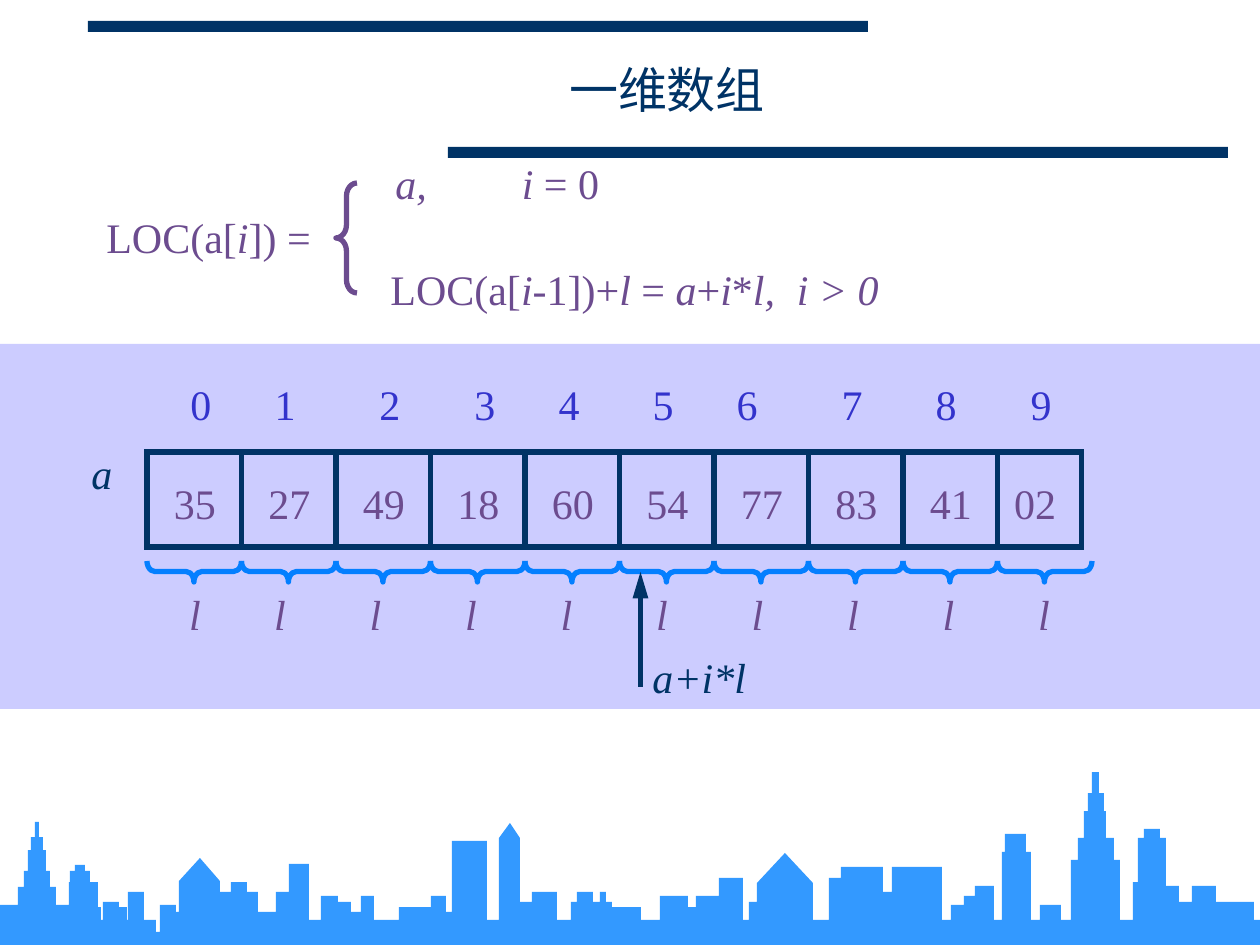
from lxml import etree
from pptx import Presentation
from pptx import util as u
from pptx.dml.color import RGBColor
from pptx.enum import shapes, text
from pptx.oxml.ns import qn

PX = 914400 / 126
WIDTH, HEIGHT = 1260, 945
THEME = {
    "font": "Times New Roman", "title": 28, "body": 24, "line": 3,
    "navy": "003366", "band": "CCCCFF", "purple": "6C4C8F",
    "index": "3333CC", "brace": "047FFF", "city": "3399FF",
}

TITLE = "一维数组"
TITLE_BOX = (502, 53, 330, 71)
BARS = [(88, 21, 780, 11), (448, 147, 780, 11)]
BAND = (0, 344, WIDTH, 365)

VALUES = ["35", "27", "49", "18", "60", "54", "77", "83", "41", "02"]
COUNT = len(VALUES)
LEFT, TOP, ARRAY_WIDTH, ARRAY_HEIGHT, PITCH = 147, 452, 935, 95, 94.5
BRACE_TOP, BRACE_DEPTH = 561, 21

TEXT_HEIGHT, INSET = 64, 12.6
# Rows over the array: left, top, width, colour, words, word centres.
# Words between underscores are italic.
ROWS = [
    (161, 471, 920, "purple", VALUES,
     [195 + PITCH * i for i in range(COUNT - 1)] + [1035]),
    (136, 372, 945, "index", [str(i) for i in range(COUNT)],
     [201, 285, 390, 485, 569, 663, 747, 852, 946, 1041]),
    (166, 582, 916, "purple", ["_l_"] * COUNT,
     [195] + [280 + 95.5 * i for i in range(COUNT - 1)]),
]
# Labels: left, top, width, colour, marked text, left tab stops
LABELS = [
    (94, 205, 240, "purple", "LOC(a[_i_]) =", []),
    (378, 257, 724, "purple",
     "LOC(a[_i_-1])+_l_ = _a_+_i_*_l,\ti > 0_", [797]),
    (383, 151, 284, "purple", "_a,\ti_ = 0", [522]),
    (640, 645, 120, "navy", "_a+i*l_", []),
    (79, 441, 47, "navy", "_a_", []),
]
FORMULA_BRACE = (336, 183, 21, 110)
ARROW = (640.5, 687, 640.5, 572)

# City: flat roofs by height, with the left and right wall of each block
GROUND = 932
FLAT_ROOFS = {
    920: [(0, 156), (160, WIDTH)],
    912: [(176, 179), (258, 276), (351, 361), (446, 452)],
    907: [(98, 101), (119, 127), (399, 431), (612, 641), (688, 696)],
    905: [(0, 69), (160, 176), (951, 964), (1040, 1061)],
    902: [(103, 119), (338, 351), (520, 532), (571, 612), (749, 757),
          (1179, 1192), (1216, 1254)],
    896: [(321, 338), (361, 374), (431, 446), (660, 688), (696, 719), (964, 994)],
    892: [(128, 144), (220, 258), (276, 289), (532, 557), (577, 593),
          (600, 606), (883, 892)],
    886: [(975, 994), (1166, 1179), (1192, 1216)],
    882: [(69, 98), (231, 247), (1133, 1166)],
    878: [(719, 743), (829, 841)],
    867: [(841, 883), (892, 942)],
    864: [(289, 309)],
    852: [(1002, 1031)],
    841: [(452, 487)],
    834: [(1005, 1026)],
}
# Gabled houses: left and right wall, eaves, ridge
GABLES = [(179, 220, 881, 858), (499, 520, 838, 823), (757, 813, 883, 853)]
# Towers: centre and tiers of (half width, top)
TOWERS = {
    37: [(2, 822), (6, 837), (9, 850), (13, 871), (18.5, 887)],
    80: [(5, 865), (10.5, 871)],
    1095.5: [(3.5, 772), (8, 793), (11, 811), (18, 838), (24.5, 860)],
    1152: [(7.5, 829), (14, 838)],
}


def emu(*pixels):
    """Turn pixel lengths into EMU."""
    return [u.Emu(round(n * PX)) for n in pixels]


def color(name):
    """Return a theme colour."""
    return RGBColor.from_string(THEME[name])


def paint(sp, fill=None, line=None):
    """Set fill and line of a shape, without shadow."""
    sp.shadow.inherit = False
    if fill:
        sp.fill.solid()
        sp.fill.fore_color.rgb = color(fill)
    else:
        sp.fill.background()
    if line:
        sp.line.color.rgb = color(line)
        sp.line.width = u.Pt(THEME["line"])
    else:
        sp.line.fill.background()
    return sp


def add_rect(s, box, fill, line=None):
    """Add a rectangle, with sharp corners if it has a line."""
    sp = s.shapes.add_shape(shapes.MSO_SHAPE.RECTANGLE, *emu(*box))
    paint(sp, fill, line)
    if line:
        etree.SubElement(sp.line._get_or_add_ln(), qn("a:miter"), lim="800000")


def add_brace(s, box, line, adjust, rotation=0):
    """Add a left brace, turned if asked."""
    sp = s.shapes.add_shape(shapes.MSO_SHAPE.LEFT_BRACE, *emu(*box))
    paint(sp, line=line)
    sp.adjustments[0], sp.adjustments[1] = adjust
    sp.rotation = rotation


def add_line(s, ends, arrow=False):
    """Add a straight navy line, with an arrowhead if asked."""
    sp = s.shapes.add_connector(shapes.MSO_CONNECTOR.STRAIGHT, *emu(*ends))
    sp.line.color.rgb = color("navy")
    sp.line.width = u.Pt(THEME["line"])
    if arrow:
        etree.SubElement(sp.line._get_or_add_ln(), qn("a:tailEnd"),
                         type="triangle", w="med", len="lg")
    etree.SubElement(sp._element.spPr, qn("a:effectLst"))


def add_run(p, words, size, ink, italic=False):
    """Add a formatted run to a paragraph."""
    r = p.add_run()
    r.text = words
    values = {"name": THEME["font"], "size": u.Pt(THEME[size]), "italic": italic}
    for key, value in values.items():
        setattr(r.font, key, value)
    r.font.color.rgb = color(ink)


def add_text(s, left, top, width, ink, marked, stops, align="l", inset=INSET):
    """Add marked text whose tab stops are given as slide positions."""
    box = s.shapes.add_textbox(*emu(left, top, width, TEXT_HEIGHT))
    tf = box.text_frame
    tf.word_wrap = True
    tf.margin_left, = emu(inset)
    p = tf.paragraphs[0]
    if stops:
        tabs = etree.SubElement(p._p.get_or_add_pPr(), qn("a:tabLst"))
        for pos in emu(*(x - left - inset for x in stops)):
            etree.SubElement(tabs, qn("a:tab"), pos=str(pos), algn=align)
    for i, words in enumerate(marked.split("_")):
        if words:
            add_run(p, words, "body", ink, italic=i % 2 == 1)


def add_title(s):
    """Place and format the title."""
    sp = s.shapes.title
    sp.left, sp.top, sp.width, sp.height = emu(*TITLE_BOX)
    tf = sp.text_frame
    tf.vertical_anchor = text.MSO_ANCHOR.MIDDLE
    p = tf.paragraphs[0]
    p.alignment = text.PP_ALIGN.CENTER
    add_run(p, TITLE, "title", "navy")


def add_array(s):
    """Draw the array: frame, dividers, braces and rows of words."""
    add_rect(s, (LEFT, TOP, ARRAY_WIDTH, ARRAY_HEIGHT), "band", "navy")
    for i in range(COUNT):
        x = LEFT + PITCH * i
        if i:
            add_line(s, (x, TOP, x, TOP + ARRAY_HEIGHT))
        # The box is upright before its quarter turn about the centre
        box = (x + (PITCH - BRACE_DEPTH) / 2, BRACE_TOP - (PITCH - BRACE_DEPTH) / 2,
               BRACE_DEPTH, PITCH)
        add_brace(s, box, "brace", (0.375, 0.497), 270)
    for left, top, width, ink, words, centres in ROWS:
        marked = "".join("\t" + word for word in words)
        add_text(s, left, top, width, ink, marked, centres, "ctr", 0)


def city_blocks():
    """List every building as left wall, right wall and roof height."""
    flats = [(a, b, top) for top, spans in FLAT_ROOFS.items() for a, b in spans]
    houses = [(a, b, eaves) for a, b, eaves, ridge in GABLES]
    tiers = [(mid - half, mid + half, top)
             for mid, steps in TOWERS.items() for half, top in steps]
    return flats + houses + tiers


def add_skyline(s):
    """Trace the highest roof between each pair of walls, as one outline."""
    blocks = city_blocks()
    walls = sorted({x for a, b, top in blocks for x in (a, b) if 0 <= x <= WIDTH})
    ridges = {a: ((a + b) / 2, ridge) for a, b, eaves, ridge in GABLES}
    points = [(0, HEIGHT)]
    for a, b in zip(walls, walls[1:]):
        roof = min([top for l, r, top in blocks if l <= a and b <= r], default=GROUND)
        points.append((a, roof))
        if a in ridges:
            points.append(ridges[a])
        points.append((b, roof))
    points.append((WIDTH, HEIGHT))
    outline = s.shapes.build_freeform(*points[0], scale=PX)
    outline.add_line_segments(points[1:], close=True)
    paint(outline.convert_to_shape(), "city")


prs = Presentation()
prs.slide_width, prs.slide_height = emu(WIDTH, HEIGHT)
s = prs.slides.add_slide(prs.slide_layouts[5])
for bar in BARS:
    add_rect(s, bar, "navy")
add_rect(s, BAND, "band")
add_title(s)
add_array(s)
add_brace(s, FORMULA_BRACE, "purple", (0.625, 0.5))
for label in LABELS:
    add_text(s, *label)
add_line(s, ARROW, arrow=True)
add_skyline(s)
prs.save("out.pptx")
